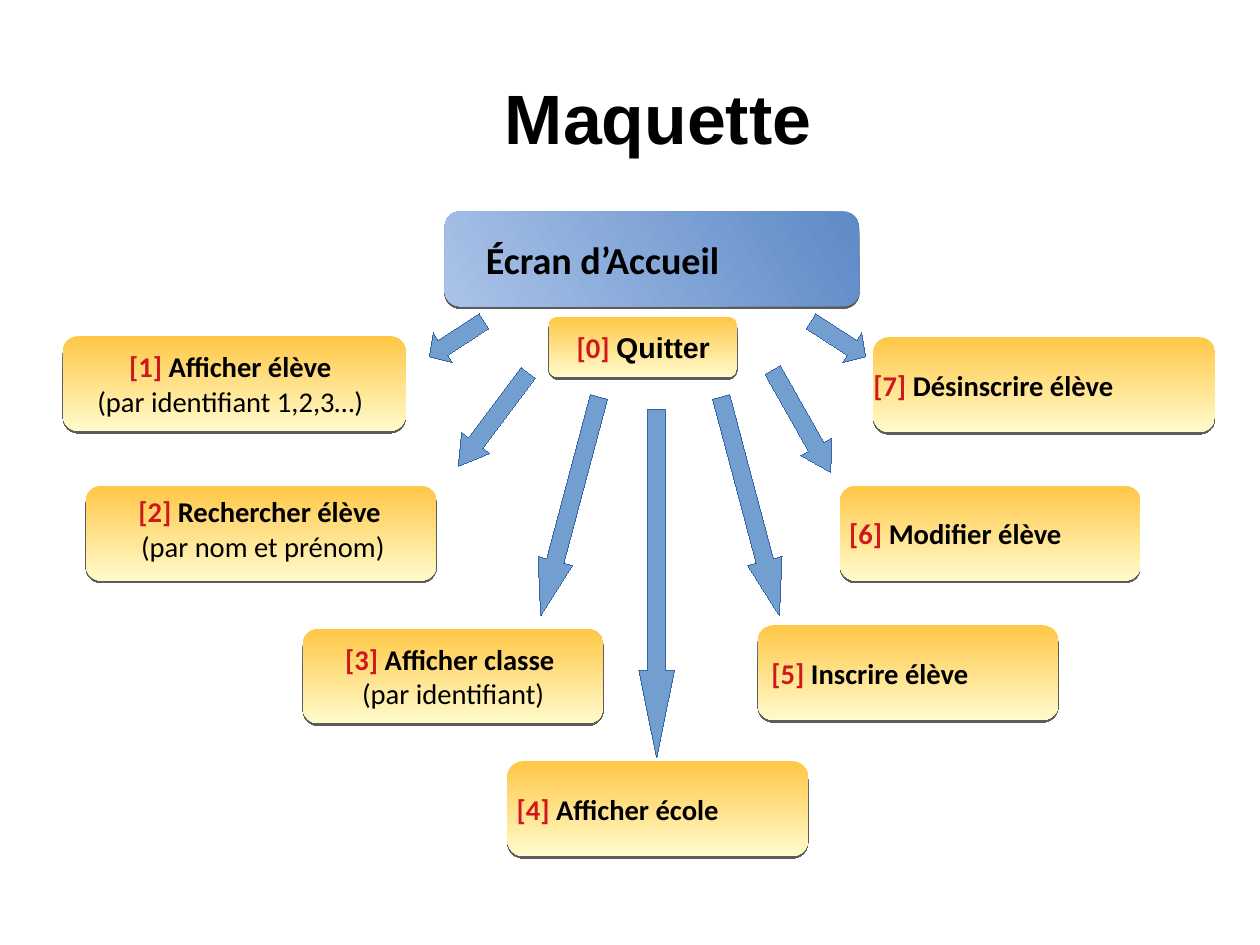
"""Build the "Maquette" slide: a home screen leading to its menu entries."""
from lxml.etree import SubElement
from pptx import Presentation
from pptx.dml.color import RGBColor
from pptx.enum.shapes import MSO_SHAPE
from pptx.enum.text import MSO_ANCHOR, PP_ALIGN
from pptx.oxml.ns import qn
from pptx.util import Inches, Pt

BLACK = RGBColor(0x00, 0x00, 0x00)
RED = RGBColor(0xCE, 0x18, 0x1E)
AMBER = RGBColor(0xFF, 0xC7, 0x46)
CREAM = RGBColor(0xFF, 0xFB, 0xCC)
BLUE = RGBColor(0x5E, 0x8A, 0xC7)
PALE_BLUE = RGBColor(0xAA, 0xC3, 0xE8)
ARROW_FILL = RGBColor(0x72, 0x9F, 0xCF)
ARROW_LINE = RGBColor(0x34, 0x65, 0xA4)
CM_PER_INCH = 2.54


def add_card(left, top, width, height, colors, angle, margin_left, margin_right=0):
    card = slide.shapes.add_shape(MSO_SHAPE.ROUNDED_RECTANGLE, Inches(left), Inches(top),
                                  Inches(width), Inches(height))
    card.line.fill.background()
    card.fill.gradient()
    card.fill.gradient_angle = angle
    for stop, color in zip(card.fill.gradient_stops, colors):
        stop.color.rgb = color
    card.shadow.inherit = False
    effects = card.element.spPr.find(qn("a:effectLst"))
    shadow = SubElement(effects, qn("a:outerShdw"), blurRad="0", dist=str(Pt(1.5)),
                        dir="5400000", algn="ctr", rotWithShape="0")
    shade = SubElement(shadow, qn("a:srgbClr"), val="000000")
    SubElement(shade, qn("a:alpha"), val="63000")
    frame = card.text_frame
    frame.word_wrap = True
    frame.vertical_anchor = MSO_ANCHOR.MIDDLE
    frame.margin_left, frame.margin_right = Inches(margin_left), Inches(margin_right)
    frame.margin_top = frame.margin_bottom = 0
    return frame


def style(paragraph, size, bold, font_name="Calibri", align=PP_ALIGN.LEFT):
    paragraph.alignment = align
    paragraph.font.size = Pt(size)
    paragraph.font.bold = bold
    paragraph.font.name = font_name
    paragraph.font.color.rgb = BLACK


prs = Presentation()
prs.slide_width = Inches(28 / CM_PER_INCH)
prs.slide_height = Inches(21 / CM_PER_INCH)
slide = prs.slides.add_slide(prs.slide_layouts[5])

title = slide.shapes.title
title.left, title.top = Inches(0.55), Inches(0.33)
title.width, title.height = Inches(9.92), Inches(1.38)
heading = title.text_frame
heading.text = "Maquette"
heading.vertical_anchor = MSO_ANCHOR.MIDDLE
heading.margin_left = Inches(0.5)
heading.margin_top = heading.margin_right = heading.margin_bottom = 0
style(heading.paragraphs[0], 44, True, "Arial", PP_ALIGN.CENTER)

home = add_card(3.89, 1.85, 3.63, 0.83, (BLUE, PALE_BLUE), 210, 0.32)
home.text = "Écran d’Accueil"
style(home.paragraphs[0], 24, True)

# left, top, width, height, left margin, right margin, label, detail
entries = [
    (4.8, 2.77, 1.65, 0.53, 0.22, 0, "Quitter", ""),
    (0.55, 2.94, 3, 0.83, 0, 0.07, "Afficher élève", "(par identifiant 1,2,3…)"),
    (0.75, 4.25, 3.07, 0.83, 0.03, 0, "Rechercher élève ", "(par nom et prénom)"),
    (2.65, 5.5, 2.63, 0.83, 0, 0, "Afficher classe ", "(par identifiant)"),
    (4.44, 6.66, 2.63, 0.83, 0.04, 0, "Afficher école", ""),
    (6.63, 5.47, 2.63, 0.83, 0.08, 0, "Inscrire élève", ""),
    (7.35, 4.25, 2.63, 0.83, 0.04, 0, "Modifier élève", ""),
    (7.64, 2.95, 2.99, 0.83, -0.04, 0, "Désinscrire élève", ""),
]
for number, (left, top, width, height, before, after, label, detail) in enumerate(entries):
    entry = add_card(left, top, width, height, (AMBER, CREAM), 270, before, after)
    align = PP_ALIGN.CENTER if detail else PP_ALIGN.LEFT
    choice = entry.paragraphs[0]
    key = choice.add_run()
    key.text = f"[{number}] "
    key.font.color.rgb = RED
    action = choice.add_run()
    action.text = label
    style(choice, 18, True, align=align)
    if number == 0:
        action.font.name = "Arial"
    if number == 2:
        entry.margin_bottom = Inches(0.08)
    if detail:
        criterion = entry.add_paragraph()
        criterion.text = detail
        style(criterion, 18, False, align=align)

ARROW_WIDTH = 0.31
# left, top, length, rotation
arrows = [
    (3.84, 2.68, 0.57, 57),
    (4.16, 3.16, 1.02, 36.8),
    (4.83, 3.44, 1.98, 14.9),
    (5.59, 3.58, 3.05, 0),
    (6.41, 3.44, 1.98, 345.1),
    (6.86, 3.17, 1.03, 330.5),
    (7.18, 2.68, 0.57, 302.9),
]
for left, top, length, rotation in arrows:
    arrow = slide.shapes.add_shape(MSO_SHAPE.DOWN_ARROW, Inches(left), Inches(top),
                                   Inches(ARROW_WIDTH), Inches(length))
    arrow.adjustments[1] = 0.25 * length / ARROW_WIDTH
    arrow.rotation = rotation
    arrow.shadow.inherit = False
    arrow.fill.solid()
    arrow.fill.fore_color.rgb = ARROW_FILL
    arrow.line.color.rgb = ARROW_LINE
    arrow.element.spPr.find(qn("a:ln")).set("w", "0")

prs.save("out.pptx")
